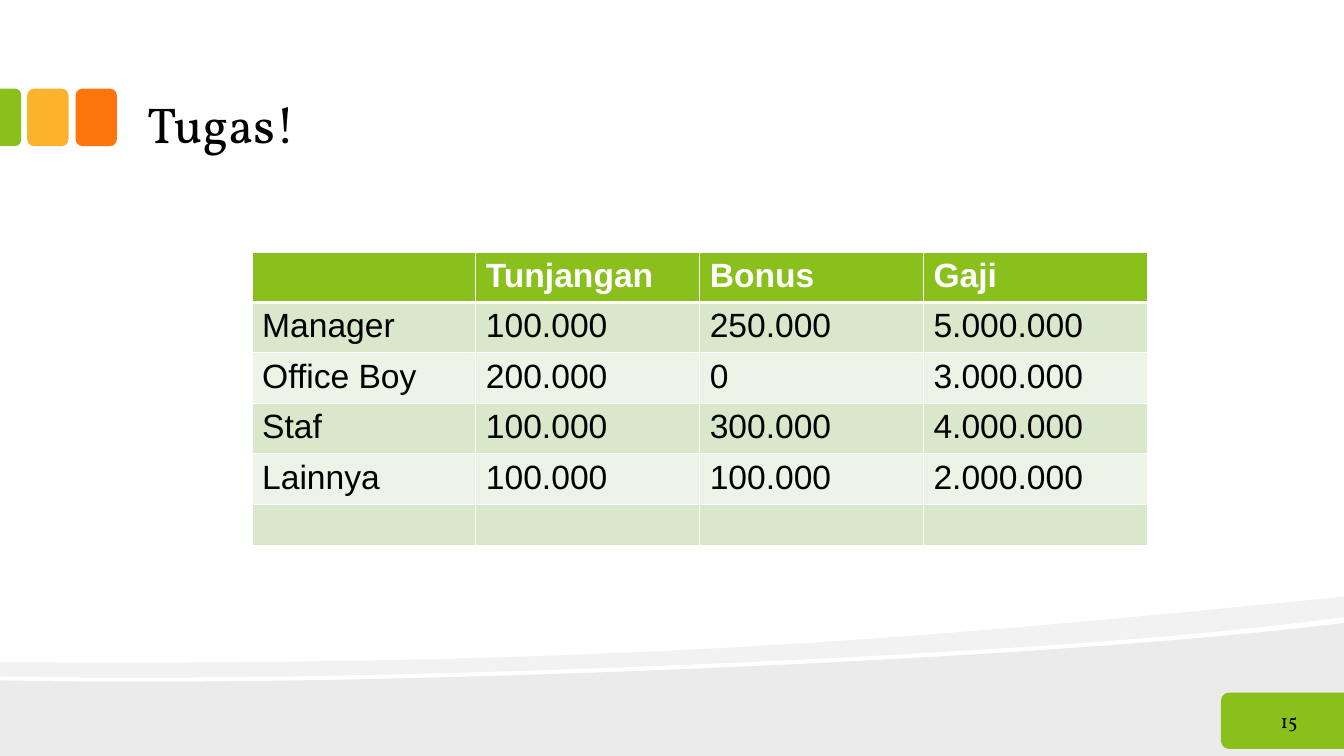
from dataclasses import dataclass

from lxml import etree
from pptx import Presentation
from pptx import util as u
from pptx.dml.color import RGBColor
from pptx.enum import shapes, text
from pptx.oxml import ns

WHITE = RGBColor(0xFF, 0xFF, 0xFF)
BLACK = RGBColor(0x00, 0x00, 0x00)
GREEN = RGBColor(0x89, 0xC0, 0x1C)
YELLOW = RGBColor(0xFC, 0xB2, 0x2C)
ORANGE = RGBColor(0xFE, 0x75, 0x0E)
WAVE_DARK = RGBColor(0xEB, 0xEB, 0xEB)
WAVE_LIGHT = RGBColor(0xF2, 0xF2, 0xF2)
ROW_DARK = RGBColor(0xD9, 0xE8, 0xCB)
ROW_LIGHT = RGBColor(0xED, 0xF4, 0xE7)

CURVE_STEPS = 24
Point = tuple[float, float]


@dataclass
class Tab:
    left: float
    top: float
    width: float
    height: float
    color: RGBColor
    radius: float
    kind: shapes.MSO_SHAPE = shapes.MSO_SHAPE.ROUNDED_RECTANGLE
    rotation: int = 0


@dataclass
class Label:
    words: str
    left: float
    top: float
    width: float
    height: float
    size: int
    anchor: text.MSO_ANCHOR
    align: text.PP_ALIGN


@dataclass
class Wave:
    color: RGBColor
    points: list[Point]


def curve(p0: Point, p1: Point, p2: Point, p3: Point) -> list[Point]:
    """Points along a cubic Bezier curve, both ends included."""
    points = []
    for i in range(CURVE_STEPS + 1):
        t = i / CURVE_STEPS
        weights = ((1 - t) ** 3, 3 * t * (1 - t) ** 2, 3 * t * t * (1 - t), t ** 3)
        points.append(tuple(sum(w * p[axis] for w, p in zip(weights, (p0, p1, p2, p3)))
                            for axis in (0, 1)))
    return points


SIDE_ROUNDED = shapes.MSO_SHAPE.ROUND_2_SAME_RECTANGLE
TABS = [
    Tab(0.75, 0.88, 0.41, 0.57, ORANGE, 0.167),
    Tab(0.27, 0.88, 0.41, 0.57, YELLOW, 0.167),
    Tab(-0.18, 1.06, 0.57, 0.21, GREEN, 0.292, SIDE_ROUNDED, 90),
    Tab(12.44, 6.54, 0.56, 1.22, GREEN, 0.143, SIDE_ROUNDED, 270),
]
LABELS = [
    Label("Tugas!", 1.33, 0.17, 10.66, 1.42, 36,
          text.MSO_ANCHOR.BOTTOM, text.PP_ALIGN.LEFT),
    Label("15", 12.11, 7.05, 0.89, 0.2, 14,
          text.MSO_ANCHOR.MIDDLE, text.PP_ALIGN.RIGHT),
]
WAVES = [
    Wave(WAVE_DARK, [(13.33, 7.5), (0, 7.5),
                     *curve((0, 6.75), (3.52, 6.83), (10.42, 6.55), (13.33, 6.18))]),
    Wave(WAVE_LIGHT, [*curve((13.33, 6.12), (12.55, 6.23), (11.49, 6.33), (10.29, 6.41)),
                      *curve((10.29, 6.41), (6.98, 6.63), (2.58, 6.77), (0, 6.71)),
                      *curve((0, 6.57), (6.52, 6.62), (9.71, 6.27), (13.33, 5.92))]),
]
SALARIES = [
    ["", "Tunjangan", "Bonus", "Gaji"],
    ["Manager", "100.000", "250.000", "5.000.000"],
    ["Office Boy", "200.000", "0", "3.000.000"],
    ["Staf", "100.000", "300.000", "4.000.000"],
    ["Lainnya", "100.000", "100.000", "2.000.000"],
    ["", "", "", ""],
]


def paint(sp, color: RGBColor) -> None:
    sp.shadow.inherit = False
    sp.fill.solid()
    sp.fill.fore_color.rgb = color
    sp.line.fill.background()


def add_run(p, words: str, font: str, size: int, color: RGBColor, bold: bool = False) -> None:
    r = p.add_run()
    r.text = words
    r.font.name = font
    r.font.size = u.Pt(size)
    r.font.color.rgb = color
    r.font.bold = bold


def draw_wave(s, wave: Wave) -> None:
    points = [(u.Inches(x), u.Inches(y)) for x, y in wave.points]
    builder = s.shapes.build_freeform(*points[0])
    builder.add_line_segments(points[1:], close=True)
    paint(builder.convert_to_shape(), wave.color)


def draw_tab(s, tab: Tab) -> None:
    box = map(u.Inches, (tab.left, tab.top, tab.width, tab.height))
    sp = s.shapes.add_shape(tab.kind, *box)
    sp.adjustments[0] = tab.radius
    sp.rotation = tab.rotation
    paint(sp, tab.color)


def draw_label(s, label: Label) -> None:
    box = map(u.Inches, (label.left, label.top, label.width, label.height))
    tf = s.shapes.add_textbox(*box).text_frame
    tf.word_wrap = True
    tf.vertical_anchor = label.anchor
    tf.margin_left = tf.margin_right = u.Inches(0.13)
    tf.margin_top = tf.margin_bottom = u.Inches(0.07)
    p = tf.paragraphs[0]
    p.alignment = label.align
    add_run(p, label.words, "Vollkorn", label.size, BLACK)


def set_borders(cell, top: int, bottom: int) -> None:
    tc_pr = cell._tc.get_or_add_tcPr()
    for side, width in (("L", 1), ("R", 1), ("T", top), ("B", bottom)):
        ln = etree.SubElement(tc_pr, ns.qn(f"a:ln{side}"), w=str(u.Pt(width)))
        fill = etree.SubElement(ln, ns.qn("a:solidFill"))
        etree.SubElement(fill, ns.qn("a:srgbClr"), val=str(WHITE))


def draw_table(s, rows: list[list[str]]) -> None:
    col_width, row_height = u.Inches(2.22), u.Inches(0.41)
    n_cols = len(rows[0])
    table = s.shapes.add_table(len(rows), n_cols, u.Inches(2.5), u.Inches(2.5),
                               col_width * n_cols, row_height * len(rows)).table
    for col in table.columns:
        col.width = col_width
    for i, row in enumerate(rows):
        table.rows[i].height = row_height
        header = i == 0
        color = GREEN if header else (ROW_DARK if i % 2 else ROW_LIGHT)
        for j, words in enumerate(row):
            cell = table.cell(i, j)
            set_borders(cell, top=3 if i == 1 else 1, bottom=3 if header else 1)
            cell.fill.solid()
            cell.fill.fore_color.rgb = color
            if words:
                add_run(cell.text_frame.paragraphs[0], words, "Arial", 24,
                        WHITE if header else BLACK, bold=header)


def main() -> None:
    prs = Presentation()
    prs.slide_width, prs.slide_height = u.Inches(13.33), u.Inches(7.5)
    s = prs.slides.add_slide(prs.slide_layouts[6])

    # Background waves and coloured tabs
    for wave in WAVES:
        draw_wave(s, wave)
    for tab in TABS:
        draw_tab(s, tab)

    # Title and page number
    for label in LABELS:
        draw_label(s, label)

    # Salary table
    draw_table(s, SALARIES)

    prs.save("out.pptx")


if __name__ == "__main__":
    main()
